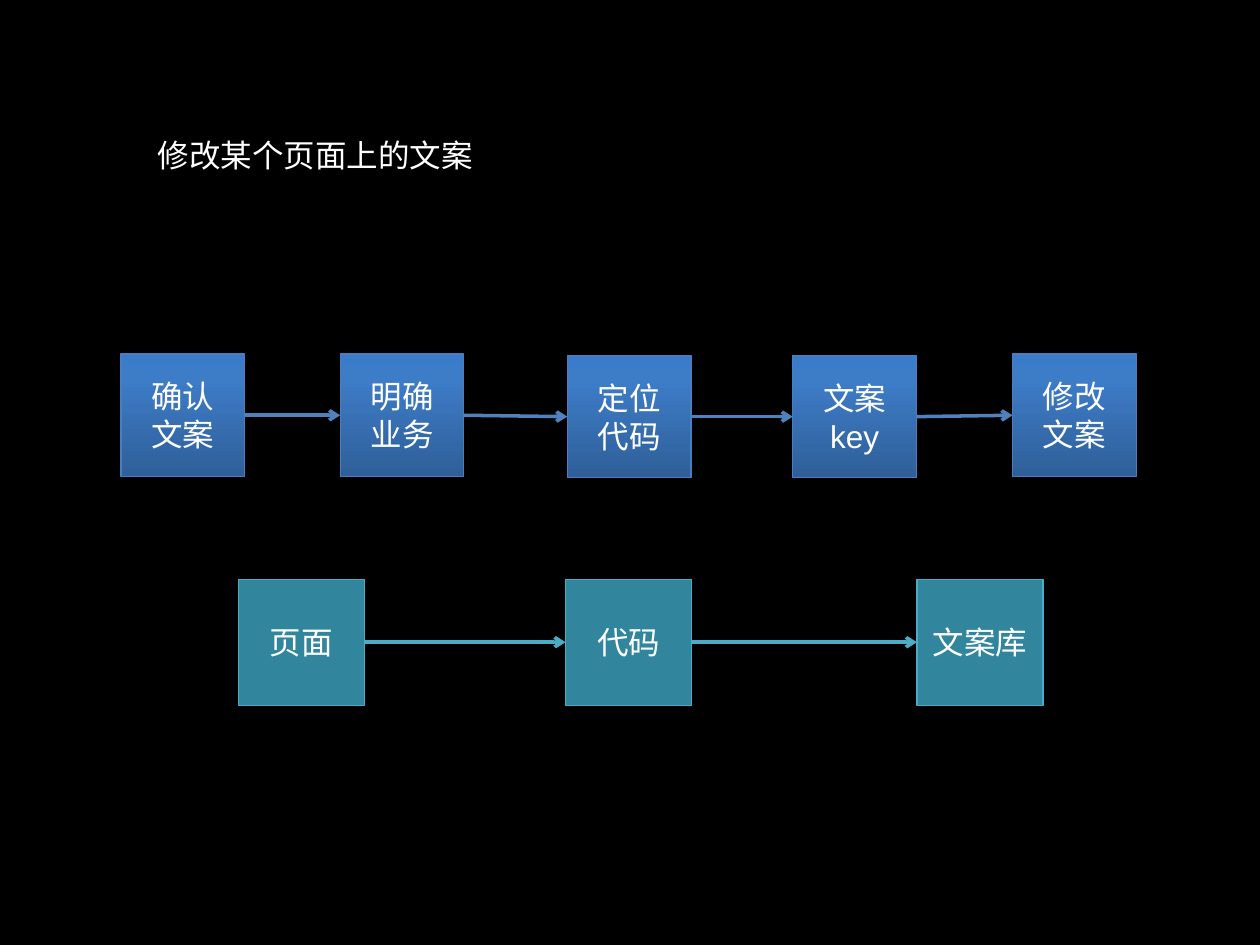
from copy import deepcopy

from pptx import Presentation
from pptx.dml.color import RGBColor
from pptx.enum.shapes import MSO_CONNECTOR, MSO_SHAPE
from pptx.enum.text import MSO_ANCHOR, MSO_AUTO_SIZE, PP_ALIGN
from pptx.oxml.ns import qn
from pptx.oxml.xmlchemy import OxmlElement
from pptx.util import Pt

RECT = MSO_SHAPE.RECTANGLE
STRAIGHT = MSO_CONNECTOR.STRAIGHT
TOP, MIDDLE = MSO_ANCHOR.TOP, MSO_ANCHOR.MIDDLE
LEFT, CENTER = PP_ALIGN.LEFT, PP_ALIGN.CENTER
FIT_SHAPE = MSO_AUTO_SIZE.SHAPE_TO_FIT_TEXT
LEFT_SIDE, RIGHT_SIDE = 1, 3
TITLE_ONLY = 5

COLORS = {
    "background": "000000",
    "text": "FFFFFF",
    "step_line": "4B7EBC",
    "step_arrow": "4F81BD",
    "place_fill": "31859C",
    "place_line": "4BACC6",
}
STEP_GRADIENT = [(0, "2F5F99"), (0.8, "3D7CC7"), (1, "3A7CCB")]

# (left, top, text)
STEPS = [
    (69.1, 202.4, "确认\n文案"),
    (194.4, 202.4, "明确\n业务"),
    (324.2, 203.2, "定位\n代码"),
    (453, 203.2, "文案\nkey"),
    (578.6, 202.4, "修改\n文案"),
]
PLACES = [(136.2, 331, "页面"), (323.2, 331, "代码"), (524, 331, "文案库")]


def rgb(name):
    return RGBColor.from_string(COLORS[name])


def write(tf, text, align, anchor):
    tf.text = text
    tf.vertical_anchor = anchor
    for p in tf.paragraphs:
        p.alignment = align
        for r in p.runs:
            r.font.size = Pt(18)
            r.font.name = "Arial"
            r.font.color.rgb = rgb("text")


def add_title(s, text):
    sp = s.shapes.title
    sp.left, sp.top, sp.width, sp.height = Pt(82.8), Pt(74.2), Pt(196.6), Pt(29)
    tf = sp.text_frame
    write(tf, text, LEFT, TOP)
    tf.word_wrap = False
    tf.auto_size = FIT_SHAPE


def add_box(s, left, top, width, height, text, line):
    sp = s.shapes.add_shape(RECT, Pt(left), Pt(top), Pt(width), Pt(height))
    sp.shadow.inherit = False
    sp.line.color.rgb = rgb(line)
    sp.line.width = Pt(0.75)
    write(sp.text_frame, text, CENTER, MIDDLE)
    return sp


def fill_gradient(sp):
    """Fill with the three-stop step gradient, darkest at the bottom."""
    sp.fill.gradient()
    sp.fill.gradient_angle = 90
    stop_list = sp.fill._xPr.find(qn("a:gradFill")).find(qn("a:gsLst"))
    stop_list.append(deepcopy(stop_list[0]))
    for stop, (position, color) in zip(sp.fill.gradient_stops, STEP_GRADIENT):
        stop.position = position
        stop.color.rgb = RGBColor.from_string(color)


def add_step(s, left, top, text):
    sp = add_box(s, left, top, 70.7, 69.8, text, "step_line")
    fill_gradient(sp)
    return sp


def add_place(s, left, top, text):
    sp = add_box(s, left, top, 72, 72, text, "place_line")
    sp.fill.solid()
    sp.fill.fore_color.rgb = rgb("place_fill")
    return sp


def add_arrow(s, start, end, color):
    line = s.shapes.add_connector(STRAIGHT, 0, 0, 0, 0)
    line.begin_connect(start, RIGHT_SIDE)
    line.end_connect(end, LEFT_SIDE)
    line.line.color.rgb = rgb(color)
    line.line.width = Pt(2)
    head = OxmlElement("a:tailEnd")
    head.set("type", "arrow")
    line.line._get_or_add_ln().append(head)
    line._element.spPr.append(OxmlElement("a:effectLst"))


def add_chain(s, add_item, items, arrow_color):
    """Add the boxes of one row and an arrow between each pair."""
    boxes = [add_item(s, *item) for item in items]
    for start, end in zip(boxes, boxes[1:]):
        add_arrow(s, start, end, arrow_color)


def main():
    prs = Presentation()
    prs.slide_width, prs.slide_height = Pt(720), Pt(540)
    s = prs.slides.add_slide(prs.slide_layouts[TITLE_ONLY])
    s.background.fill.solid()
    s.background.fill.fore_color.rgb = rgb("background")
    add_title(s, "修改某个页面上的文案")
    add_chain(s, add_step, STEPS, "step_arrow")
    add_chain(s, add_place, PLACES, "place_line")
    prs.save("out.pptx")


if __name__ == "__main__":
    main()
